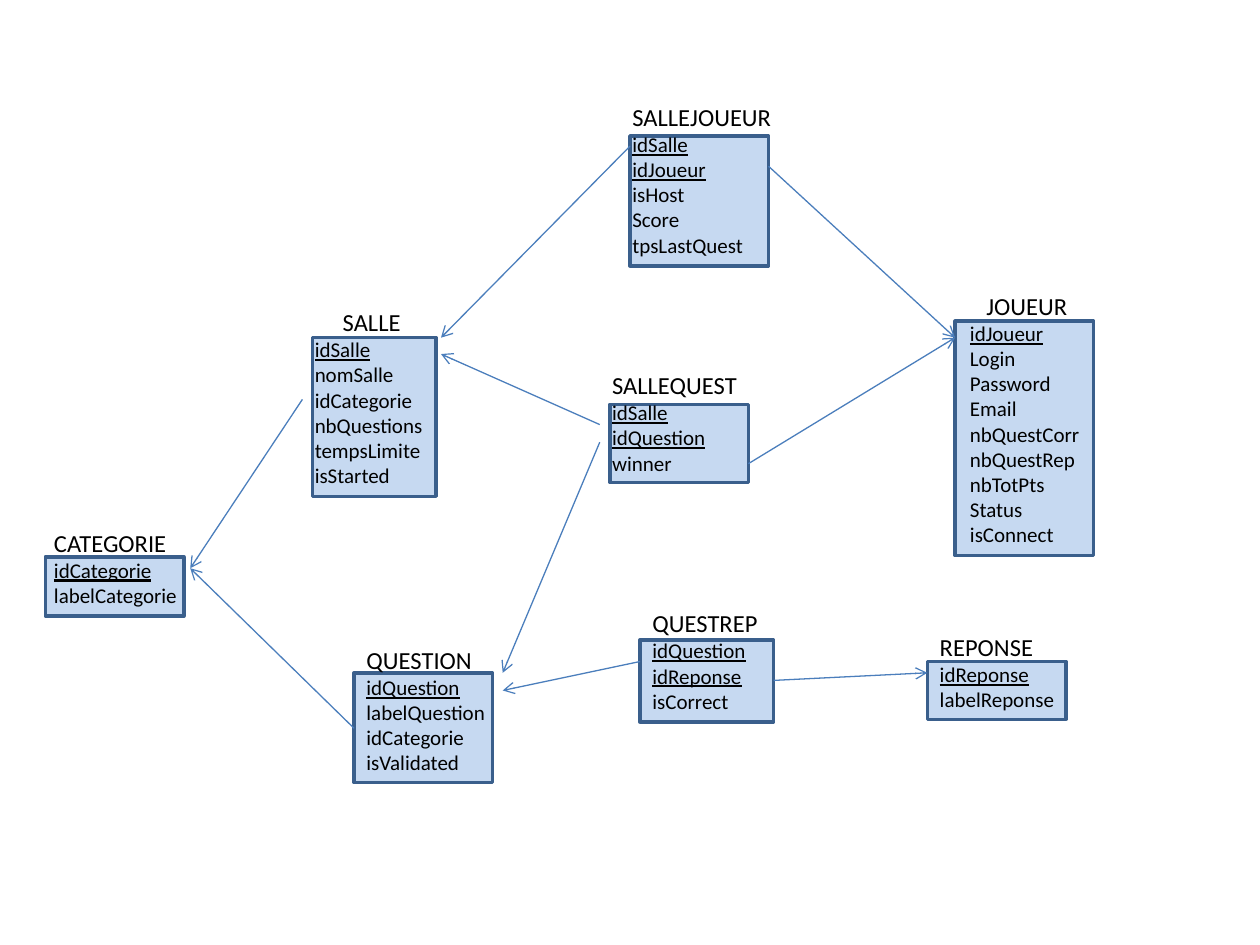
import pptx
import pptx.dml.color
import pptx.enum.shapes
import pptx.enum.text
import pptx.util
from lxml import etree
from pptx.oxml.ns import qn
from pptx.util import Inches

ALIGN = pptx.enum.text.PP_ALIGN


def rgb(hex_code):
    return pptx.dml.color.RGBColor.from_string(hex_code)


class SchemaSlide:
    FONT = "Calibri"
    TEXT = "000000"
    FILL = "C6D9F1"
    BORDER = "3A5F8C"
    LINK = "4B7EBC"

    def __init__(self, slide):
        self.slide = slide

    def box(self, left, top, width, height):
        box = self.slide.shapes.add_shape(
            pptx.enum.shapes.MSO_SHAPE.RECTANGLE,
            Inches(left), Inches(top), Inches(width), Inches(height))
        box.shadow.inherit = False
        box.fill.solid()
        box.fill.fore_color.rgb = rgb(self.FILL)
        box.line.color.rgb = rgb(self.BORDER)
        box.line.width = pptx.util.Pt(2)

    def entity_text(self, area, title, keys, fields, title_align, field_align):
        """Write the title, then the underlined keys, then the plain fields."""
        label = self.slide.shapes.add_textbox(*map(Inches, area))
        frame = label.text_frame
        frame.word_wrap = True
        frame.auto_size = pptx.enum.text.MSO_AUTO_SIZE.SHAPE_TO_FIT_TEXT
        if title_align == ALIGN.LEFT:
            frame.margin_right = Inches(0.05)
        frame.text = "\n".join([title, *keys, *fields])
        for row, paragraph in enumerate(frame.paragraphs):
            paragraph.alignment = field_align if row else title_align
            font = paragraph.runs[0].font
            font.name = self.FONT
            font.size = pptx.util.Pt(12 if row else 14)
            font.color.rgb = rgb(self.TEXT)
            font.underline = 1 <= row <= len(keys)

    def reference(self, start, end):
        """Draw an arrow from a foreign key to the entity it refers to."""
        link = self.slide.shapes.add_connector(
            pptx.enum.shapes.MSO_CONNECTOR.STRAIGHT,
            *map(Inches, start + end))
        link.line.color.rgb = rgb(self.LINK)
        link.line.width = pptx.util.Pt(0.75)
        properties = link._element.spPr
        etree.SubElement(properties.find(qn("a:ln")), qn("a:tailEnd"), type="arrow")
        etree.SubElement(properties, qn("a:effectLst"))


# box, text area, title, keys, fields, title alignment, field alignment
ENTITIES = [
    ((7.58, 2.55, 1.1, 1.86), (7.6, 2.26, 1.1, 2.15), "JOUEUR", ["idJoueur"],
     ["Login", "Password", "Email", "nbQuestCorr", "nbQuestRep", "nbTotPts",
      "Status", "isConnect"], ALIGN.CENTER, ALIGN.LEFT),
    ((2.48, 2.68, 0.98, 1.26), (2.4, 2.39, 1.1, 1.55), "SALLE", ["idSalle"],
     ["nomSalle", "idCategorie", "nbQuestions", "tempsLimite", "isStarted"],
     ALIGN.CENTER, ALIGN.JUSTIFY),
    ((0.36, 4.42, 1.1, 0.47), (0.33, 4.14, 1.18, 0.74), "CATEGORIE",
     ["idCategorie"], ["labelCategorie"], ALIGN.LEFT, ALIGN.LEFT),
    ((5, 1.08, 1.1, 1.03), (4.92, 0.76, 1.35, 1.35), "SALLEJOUEUR",
     ["idSalle", "idJoueur"], ["isHost", "Score", "tpsLastQuest"],
     ALIGN.LEFT, ALIGN.LEFT),
    ((2.81, 5.34, 1.1, 0.87), (2.81, 5.07, 1.18, 1.14), "QUESTION",
     ["idQuestion"], ["labelQuestion", "idCategorie", "isValidated"],
     ALIGN.LEFT, ALIGN.LEFT),
    ((4.84, 3.21, 1.1, 0.62), (4.76, 2.89, 1.26, 0.94), "SALLEQUEST",
     ["idSalle", "idQuestion"], ["winner"], ALIGN.LEFT, ALIGN.LEFT),
    ((5.08, 5.08, 1.06, 0.65), (5.08, 4.78, 1.06, 0.94), "QUESTREP",
     ["idQuestion", "idReponse"], ["isCorrect"], ALIGN.LEFT, ALIGN.LEFT),
    ((7.36, 5.25, 1.1, 0.46), (7.36, 4.97, 1.18, 0.74), "REPONSE",
     ["idReponse"], ["labelReponse"], ALIGN.LEFT, ALIGN.LEFT),
]

JOUEUR_KEY = (7.58, 2.68)
CATEGORIE_KEY = (1.51, 4.51)
REFERENCES = [
    ((4.76, 3.37), (3.5, 2.81)),
    ((5, 1.16), (3.5, 2.68)),
    ((6.1, 1.32), JOUEUR_KEY),
    ((4.76, 3.51), (3.99, 5.34)),
    ((2.81, 5.78), CATEGORIE_KEY),
    ((2.4, 3.17), CATEGORIE_KEY),
    ((6.14, 5.4), (7.36, 5.34)),
    ((5.94, 3.68), JOUEUR_KEY),
    ((5.08, 5.25), (3.99, 5.48)),
]


def main():
    deck = pptx.Presentation()
    deck.slide_width = Inches(10)
    deck.slide_height = Inches(7.5)
    schema = SchemaSlide(deck.slides.add_slide(deck.slide_layouts[6]))
    for box, *text in ENTITIES:
        schema.box(*box)
        schema.entity_text(*text)
    for start, end in REFERENCES:
        schema.reference(start, end)
    deck.save("out.pptx")


if __name__ == "__main__":
    main()
